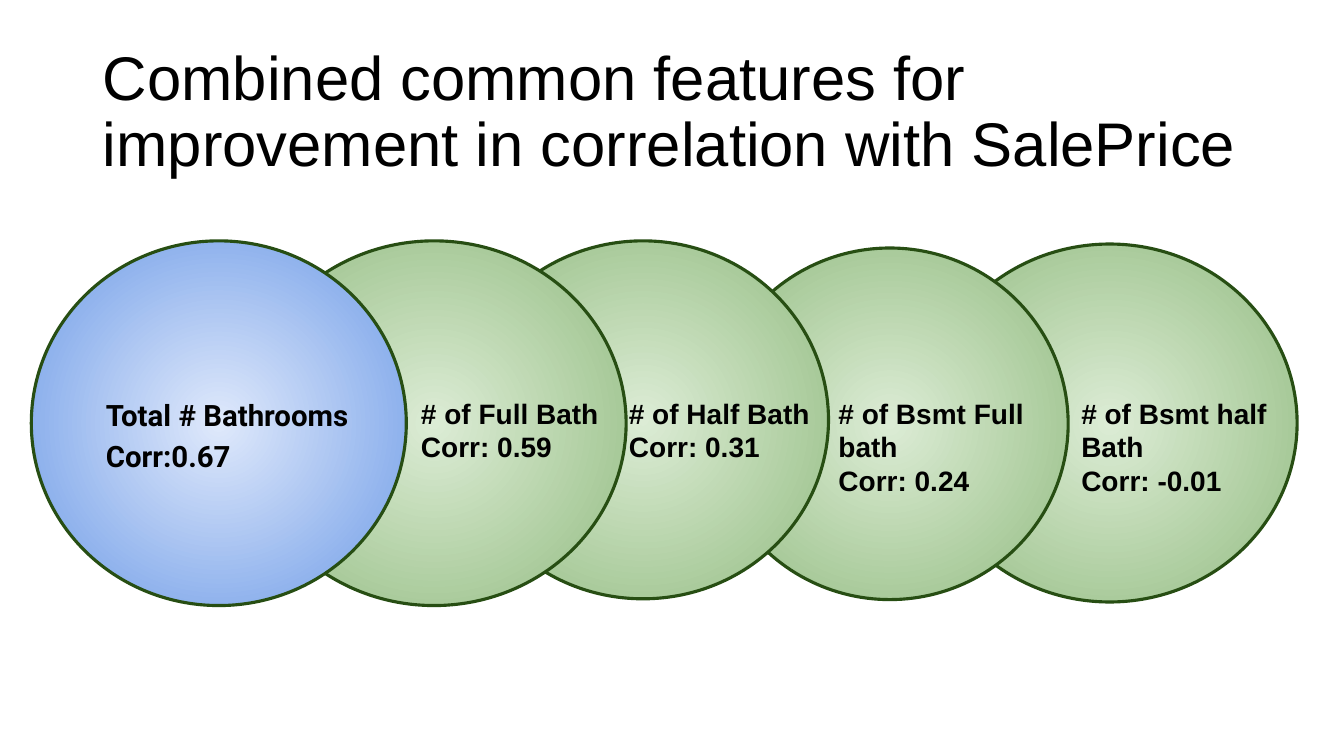
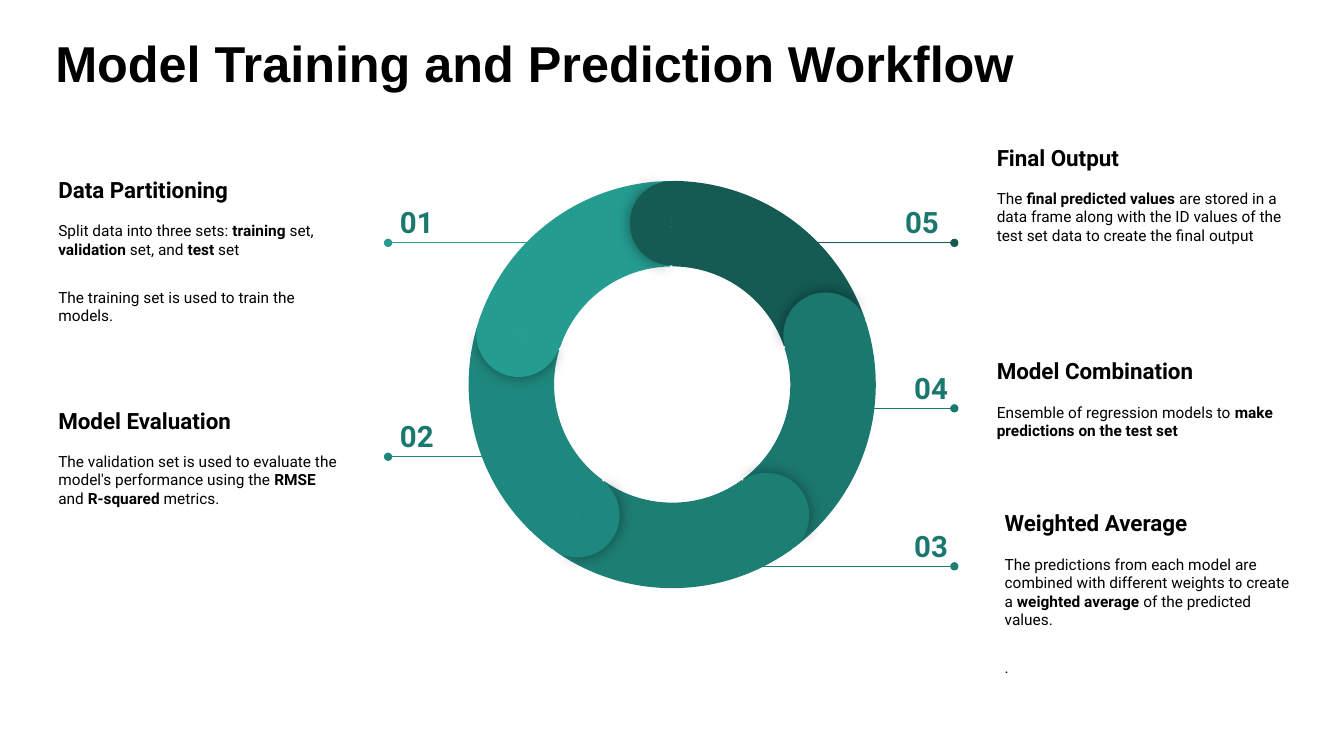
"""Builds two slides: combined bathroom features and the model training workflow."""

from dataclasses import dataclass
from math import cos, radians, sin

from lxml.etree import SubElement
from pptx import Presentation
from pptx.dml.color import RGBColor
from pptx.enum.shapes import MSO_CONNECTOR, MSO_SHAPE
from pptx.enum.text import MSO_ANCHOR, MSO_AUTO_SIZE, PP_ALIGN
from pptx.oxml.ns import qn
from pptx.presentation import Presentation as Deck
from pptx.shapes.autoshape import Shape
from pptx.slide import Slide
from pptx.util import Cm, Pt

COLORS = {
    "text": "000000",
    "outline": "274E13",
    "green_core": "DCECD5",
    "green_rim": "93BC81",
    "blue_core": "DFE9FB",
    "blue_rim": "6E9BE7",
    "step_01": "249C90",
    "step_02": "1F887E",
    "step_03": "1D7E74",
    "step_04": "1B786E",
    "step_05": "155B54",
}
RING_CENTER = (16.94, 9.69)
RING_DIAMETER = 10.26
CAP_DIAMETER = 2.13
BAND_RATIO = 0.21
STEP_ANGLE = 72
RING_ORDER = ["05", "04", "03", "02", "01"]


@dataclass(frozen=True)
class Box:
    left: float
    top: float
    width: float
    height: float

    def lengths(self) -> tuple[Cm, Cm, Cm, Cm]:
        return Cm(self.left), Cm(self.top), Cm(self.width), Cm(self.height)


@dataclass(frozen=True)
class TextStyle:
    font: str
    size: float
    bold: bool | None = True
    color: str = "text"
    line_spacing: float = 1.0
    space_before: float = 0


@dataclass(frozen=True)
class Feature:
    lines: list[str]
    circle: Box
    label: Box
    is_total: bool = False


@dataclass(frozen=True)
class Step:
    number: str
    heading: str
    details: list[str]
    text_left: float
    text_top: float
    number_left: float
    line_start: float
    line_end: float
    line_top: float


FEATURE_STYLE = TextStyle("Arial", 20)
TOTAL_STYLE = TextStyle("Roboto", 21, line_spacing=1.15)
NUMBER_STYLE = TextStyle("Roboto", 21, color="step_04")
HEADING_STYLE = TextStyle("Roboto", 16)
DETAIL_STYLE = TextStyle("Roboto", 11, bold=None, space_before=13)
FOLLOW_UP_STYLE = TextStyle("Roboto", 11, bold=None, space_before=21)

FEATURES = [
    Feature(["# of Bsmt half Bath", "Corr: -0.01"],
            Box(23.24, 6.15, 9.45, 9.02), Box(27, 9.73, 5.69, 3.07)),
    Feature(["# of Bsmt Full bath", "Corr: 0.24"],
            Box(17.93, 6.25, 8.99, 8.86), Box(20.88, 9.73, 5.89, 3.07)),
    Feature(["# of Half Bath", "Corr: 0.31"],
            Box(11.53, 6.07, 9.35, 9.02), Box(15.6, 9.73, 5.31, 2.24)),
    Feature(["# of Full Bath", "Corr: 0.59"],
            Box(6.1, 6.07, 9.68, 9.19), Box(10.36, 9.73, 5.03, 2.24)),
    Feature(["Total # Bathrooms", "Corr:0.67"],
            Box(0.79, 6.07, 9.45, 9.19), Box(2.34, 9.35, 8.69, 3.1), is_total=True),
]

STEPS = [
    Step("01", "Data Partitioning",
         ["Split data into three sets: **training** set, **validation** set, and **test** set",
          "The training set is used to train the models."],
         1.14, 4.6, 9.75, 14.33, 9.78, 6.12),
    Step("02", "Model Evaluation",
         ["The validation set is used to evaluate the model's performance using the "
          "**RMSE** and **R-squared** metrics."],
         1.14, 9.8, 9.75, 13.23, 9.78, 11.51),
    Step("03", "Weighted Average",
         ["The predictions from each model are combined with different weights to create a "
          "**weighted average** of the predicted values.", "."],
         24.99, 13.23, 22.71, 17.25, 24.05, 14.27),
    Step("04", "Model Combination",
         ["Ensemble of regression models to **make predictions on the test set**"],
         24.79, 8.33, 22.71, 20.78, 24.05, 10.29),
    Step("05", "Final Output",
         ["The **final predicted values** are stored in a data frame along with the ID values "
          "of the test set data to create the final output"],
         24.79, 3.18, 22.48, 19.3, 24.05, 6.12),
]


def rgb(name: str) -> RGBColor:
    return RGBColor.from_string(COLORS[name])


def write_text(holder: Shape, paragraphs: list[tuple[str, TextStyle]]) -> None:
    frame = holder.text_frame
    frame.word_wrap = True
    frame.auto_size = MSO_AUTO_SIZE.NONE
    for index, (content, style) in enumerate(paragraphs):
        paragraph = frame.add_paragraph() if index else frame.paragraphs[0]
        paragraph.alignment = PP_ALIGN.LEFT
        paragraph.line_spacing = style.line_spacing
        paragraph.space_before = Pt(style.space_before)
        paragraph.font.name = style.font
        paragraph.font.size = Pt(style.size)
        paragraph.font.bold = style.bold
        paragraph.font.color.rgb = rgb(style.color)
        for part, words in enumerate(content.split("**")):
            if words:
                run = paragraph.add_run()
                run.text = words
                if part % 2:
                    run.font.bold = True


def add_label(slide: Slide, box: Box, paragraphs: list[tuple[str, TextStyle]],
              inset: float = 0.33, anchor: MSO_ANCHOR = MSO_ANCHOR.TOP) -> None:
    label = slide.shapes.add_textbox(*box.lengths())
    frame = label.text_frame
    frame.margin_left = frame.margin_right = Cm(inset)
    frame.margin_top = frame.margin_bottom = Cm(inset)
    frame.vertical_anchor = anchor
    write_text(label, paragraphs)


def add_titled_slide(deck: Deck, title: str, box: Box, size: float, bold: bool) -> Slide:
    slide = deck.slides.add_slide(deck.slide_layouts[5])
    heading = slide.shapes.title
    heading.left, heading.top, heading.width, heading.height = box.lengths()
    heading.text_frame.vertical_anchor = MSO_ANCHOR.MIDDLE
    write_text(heading, [(title, TextStyle("Arial", size, bold, line_spacing=0.9))])
    return slide


def add_feature_circle(slide: Slide, feature: Feature) -> None:
    circle = slide.shapes.add_shape(MSO_SHAPE.OVAL, *feature.circle.lengths())
    circle.shadow.inherit = False
    circle.line.color.rgb = rgb("outline")
    circle.line.width = Pt(2.25)
    hue = "blue" if feature.is_total else "green"
    circle.fill.gradient()
    for stop, zone in zip(circle.fill.gradient_stops, ("core", "rim")):
        stop.color.rgb = rgb(f"{hue}_{zone}")
    gradient = circle._element.spPr.find(qn("a:gradFill"))
    gradient.remove(gradient.find(qn("a:lin")))
    radial = SubElement(gradient, qn("a:path"), {"path": "circle"})
    SubElement(radial, qn("a:fillToRect"), dict.fromkeys("ltrb", "50000"))


def add_feature_label(slide: Slide, feature: Feature) -> None:
    if feature.is_total:
        add_label(slide, feature.label, [(line, TOTAL_STYLE) for line in feature.lines],
                  anchor=MSO_ANCHOR.MIDDLE)
    else:
        add_label(slide, feature.label, [(line, FEATURE_STYLE) for line in feature.lines],
                  inset=0.25)


def add_leader(slide: Slide, step: Step) -> None:
    leader = slide.shapes.add_connector(
        MSO_CONNECTOR.STRAIGHT, Cm(step.line_start), Cm(step.line_top),
        Cm(step.line_end), Cm(step.line_top))
    leader.line.color.rgb = rgb(f"step_{step.number}")
    leader.line.width = Pt(0.75)
    properties = leader._element.spPr
    SubElement(properties.find(qn("a:ln")), qn("a:tailEnd"), {"type": "oval"})
    SubElement(properties, qn("a:effectLst"))


def add_ring_part(slide: Slide, kind: MSO_SHAPE, center: tuple[float, float], diameter: float,
                  rotation: float, adjustments: list[float], color: str) -> Shape:
    corner = [middle - diameter / 2 for middle in center]
    part = slide.shapes.add_shape(kind, *Box(*corner, diameter, diameter).lengths())
    part.shadow.inherit = False
    part.rotation = rotation % 360
    for index, adjustment in enumerate(adjustments):
        part.adjustments[index] = adjustment
    part.fill.solid()
    part.fill.fore_color.rgb = rgb(color)
    part.line.fill.background()
    return part


def add_soft_shadow(part: Shape) -> None:
    effects = part._element.spPr.find(qn("a:effectLst"))
    shadow = SubElement(effects, qn("a:outerShdw"), {
        "blurRad": str(Pt(11.2)), "dist": "0", "dir": "0", "algn": "ctr", "rotWithShape": "0"})
    shade = SubElement(shadow, qn("a:srgbClr"), {"val": COLORS["text"]})
    SubElement(shade, qn("a:alpha"), {"val": "43000"})


def add_ring(slide: Slide) -> None:
    for index, number in enumerate(RING_ORDER):
        add_ring_part(slide, MSO_SHAPE.BLOCK_ARC, RING_CENTER, RING_DIAMETER,
                      60 + STEP_ANGLE * index, [126.03, 168.68, BAND_RATIO], f"step_{number}")
    orbit = (RING_DIAMETER - CAP_DIAMETER) / 2
    for index, number in enumerate(RING_ORDER):
        turn = STEP_ANGLE * index
        angle = radians(270 + turn)
        center = (RING_CENTER[0] + orbit * cos(angle), RING_CENTER[1] + orbit * sin(angle))
        trailing_cap = add_ring_part(slide, MSO_SHAPE.PIE, center, CAP_DIAMETER,
                                     355 + turn, [61.9, 149.96], f"step_{number}")
        add_soft_shadow(trailing_cap)
        add_ring_part(slide, MSO_SHAPE.PIE, center, CAP_DIAMETER,
                      175 + turn, [40.28, 171.84], f"step_{number}")


def add_step_text(slide: Slide, step: Step) -> None:
    first, *rest = step.details
    add_label(slide, Box(step.text_left, step.text_top, 7.87, 3.43),
              [(step.heading, HEADING_STYLE), (first, DETAIL_STYLE)]
              + [(detail, FOLLOW_UP_STYLE) for detail in rest],
              anchor=MSO_ANCHOR.MIDDLE)
    add_label(slide, Box(step.number_left, step.line_top - 1.3, 1.88, 0.99),
              [(step.number, NUMBER_STYLE)])


def build_features(deck: Deck) -> None:
    slide = add_titled_slide(
        deck, "Combined common features for improvement in correlation with SalePrice",
        Box(2.34, 1.02, 29.21, 3.68), 44, False)
    for feature in FEATURES:
        add_feature_circle(slide, feature)
    for feature in FEATURES:
        add_feature_label(slide, feature)


def build_workflow(deck: Deck) -> None:
    slide = add_titled_slide(deck, "Model Training and Prediction Workflow",
                             Box(1.14, 0.2, 29.21, 2.95), 36, True)
    for step in STEPS:
        add_leader(slide, step)
    add_ring(slide)
    for step in STEPS:
        add_step_text(slide, step)


def main() -> None:
    deck = Presentation()
    deck.slide_width, deck.slide_height = Cm(33.87), Cm(19.05)
    build_features(deck)
    build_workflow(deck)
    deck.save("out.pptx")


if __name__ == "__main__":
    main()
